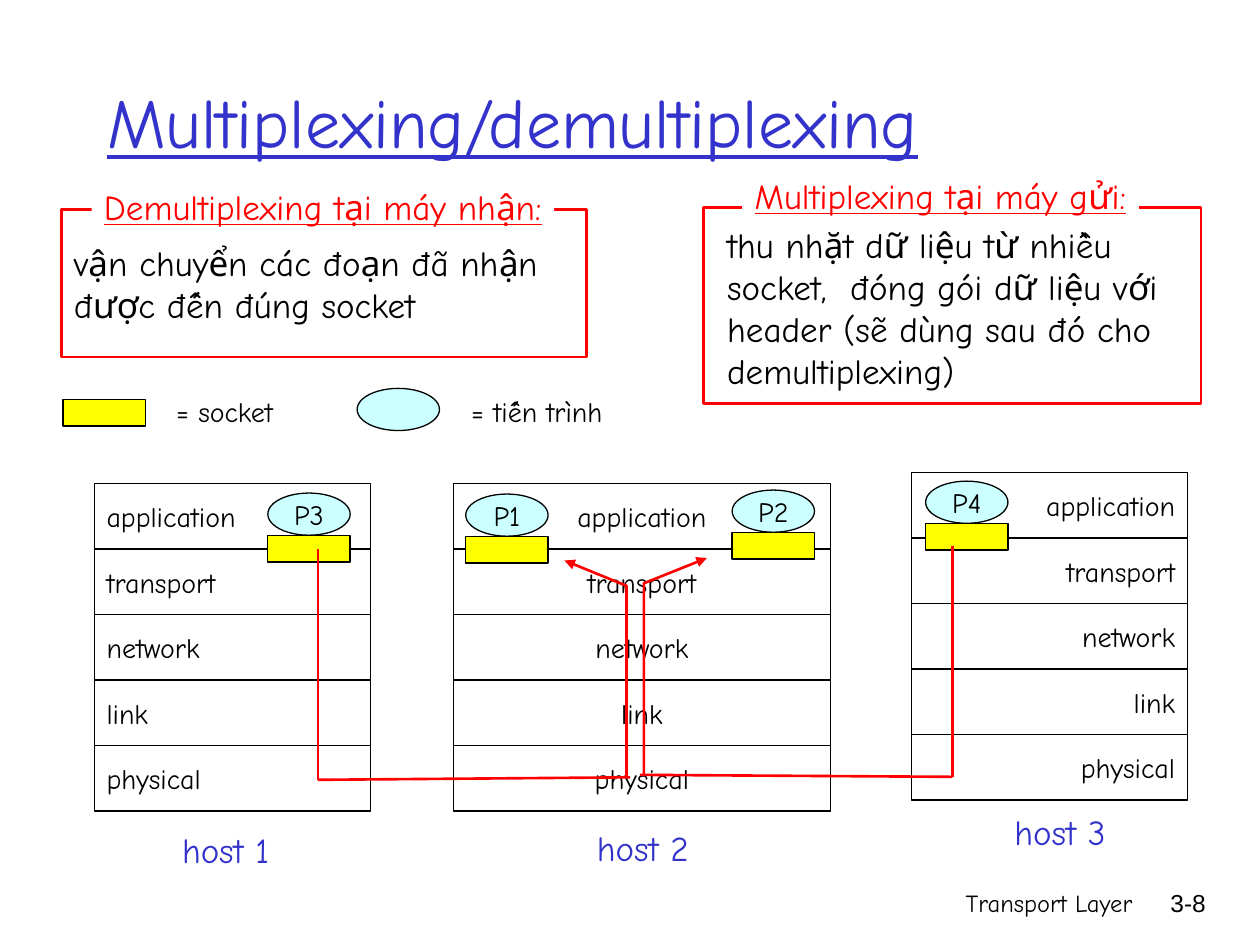
from dataclasses import dataclass

from lxml.etree import SubElement
from pptx import Presentation
from pptx.dml.color import RGBColor
from pptx.enum.shapes import MSO_CONNECTOR, MSO_SHAPE
from pptx.enum.text import MSO_ANCHOR, PP_ALIGN
from pptx.oxml.ns import qn
from pptx.util import Cm, Pt

LEFT, CENTER, RIGHT = PP_ALIGN.LEFT, PP_ALIGN.CENTER, PP_ALIGN.RIGHT


@dataclass(frozen=True)
class Theme:
    font: str = "Comic Neue"
    number_font: str = "Arial"
    black: str = "000000"
    white: str = "FFFFFF"
    blue: str = "3333CC"
    red: str = "FF0000"
    yellow: str = "FFFF00"
    cyan: str = "CCFFFF"
    title: int = 40
    body: int = 20
    label: int = 16
    footer: int = 14
    thin: float = 0.75
    thick: float = 1.5


THEME = Theme()

# All positions are in centimetres: left, top, width, height.
LAYERS = ["application", "transport", "network", "link", "physical"]
LAYER_HEIGHT = 1.32
HOSTS = [  # left, top, width, layer alignment, name, name area
    (1.9, 9.75, 5.57, LEFT, "host 1", (3.42, 16.58, 2.26, 1.12)),
    (18.37, 9.53, 5.57, RIGHT, "host 3", (20.2, 16.21, 2.34, 1.12)),
    (9.14, 9.75, 7.6, CENTER, "host 2", (11.78, 16.54, 2.36, 1.12)),
]
PROCESS_WIDTH, PROCESS_HEIGHT, SOCKET_HEIGHT = 1.66, 0.85, 0.54
PROCESSES = [("P1", 9.39, 9.96), ("P2", 14.76, 9.88),
             ("P3", 5.4, 9.94), ("P4", 18.66, 9.7)]
ROUTES = [  # straight wires as point pairs, then the bent arrow
    ([((6.41, 11.07), (6.41, 15.72)), ((6.41, 15.72), (12.7, 15.67))],
     [(12.63, 15.67), (12.63, 11.81), (11.38, 11.3)]),
    ([((19.2, 11.0), (19.2, 15.66)), ((19.2, 15.66), (12.9, 15.62))],
     [(12.98, 15.6), (12.98, 11.76), (14.25, 11.25)]),
]
PANELS = [  # frame, heading area, heading, text area, text anchor, lines
    ((1.24, 4.23, 10.58, 2.97), (1.85, 3.6, 9.32, 1.12),
     "Demultiplexing tại máy nhận:",
     (1.24, 4.23, 10.58, 2.97), MSO_ANCHOR.MIDDLE,
     ["vận chuyển các đoạn đã nhận", "được đến đúng socket"]),
    ((14.18, 4.19, 10.03, 3.94), (14.96, 3.38, 8.0, 1.12),
     "Multiplexing tại máy gửi:",
     (14.41, 4.37, 9.7, 3.66), MSO_ANCHOR.TOP,
     ["thu nhặt dữ liệu từ nhiều", "socket,  đóng gói dữ liệu với",
      "header (sẽ dùng sau đó cho", "demultiplexing)"]),
]
LEGEND_SOCKET, LEGEND_PROCESS = (1.27, 8.05), (7.2, 7.83)
LEGEND_TEXTS = [("= socket", (3.3, 7.82, 2.8, 0.94)),
                ("= tiến trình", (9.25, 7.82, 3.6, 0.94))]


def color(value):
    return RGBColor.from_string(value)


def write(box, lines, size=THEME.label, ink=THEME.black, font=THEME.font,
          align=LEFT, anchor=MSO_ANCHOR.TOP, underline=False):
    """Fill the box; centred text gets narrow margins so it stays on one line."""
    frame = box.text_frame
    frame.word_wrap = align != CENTER
    frame.vertical_anchor = anchor
    frame.margin_left = frame.margin_right = Cm(0.05 if align == CENTER else 0.25)
    frame.margin_top = frame.margin_bottom = Cm(0.13)
    for index, line in enumerate(lines):
        para = frame.add_paragraph() if index else frame.paragraphs[0]
        para.alignment = align
        span = para.add_run()
        span.text = line
        span.font.name = font
        span.font.size = Pt(size)
        span.font.underline = underline
        span.font.color.rgb = color(ink)


def add_text(page, area, *lines, **style):
    box = page.shapes.add_textbox(*map(Cm, area))
    write(box, lines, **style)
    return box


def add_block(page, area, fill=None, line=THEME.black, weight=THEME.thin,
              kind=MSO_SHAPE.RECTANGLE):
    block = page.shapes.add_shape(kind, *map(Cm, area))
    block.shadow.inherit = False
    if fill:
        block.fill.solid()
        block.fill.fore_color.rgb = color(fill)
    else:
        block.fill.background()
    block.line.color.rgb = color(line)
    block.line.width = Pt(weight)
    return block


def add_socket(page, left, top):
    add_block(page, (left, top, PROCESS_WIDTH, SOCKET_HEIGHT), THEME.yellow)


def add_process(page, left, top):
    return add_block(page, (left, top, PROCESS_WIDTH, PROCESS_HEIGHT),
                     THEME.cyan, kind=MSO_SHAPE.OVAL)


def add_host(page, left, top, width, align, name, name_area):
    for row, layer in enumerate(LAYERS):
        area = (left, top + row * LAYER_HEIGHT, width, LAYER_HEIGHT)
        write(add_block(page, area, THEME.white), [layer],
              align=align, anchor=MSO_ANCHOR.MIDDLE)
    add_text(page, name_area, name, size=THEME.body, ink=THEME.blue, align=CENTER)


def add_route(page, wires, bend):
    for start, end in wires:
        wire = page.shapes.add_connector(MSO_CONNECTOR.STRAIGHT, *map(Cm, start + end))
        SubElement(style_route(wire), qn("a:effectLst"))
    points = [tuple(map(Cm, point)) for point in bend]
    builder = page.shapes.build_freeform(*points[0])
    builder.add_line_segments(points[1:], close=False)
    arrow = builder.convert_to_shape()
    arrow.fill.background()
    properties = style_route(arrow)
    SubElement(properties.find(qn("a:ln")), qn("a:tailEnd"), type="triangle")
    arrow.shadow.inherit = False


def style_route(shape):
    """Make the line thick and red; return the shape properties element."""
    shape.line.color.rgb = color(THEME.red)
    shape.line.width = Pt(THEME.thick)
    return shape._element.spPr


def add_panel(page, frame, heading_area, heading, text_area, anchor, lines):
    add_block(page, frame, line=THEME.red, weight=THEME.thick)
    add_text(page, text_area, *lines, size=THEME.body, anchor=anchor)
    box = add_text(page, heading_area, heading, size=THEME.body, ink=THEME.red,
                   align=CENTER, underline=True)
    box.fill.solid()
    box.fill.fore_color.rgb = color(THEME.white)


def main():
    deck = Presentation()
    deck.slide_width, deck.slide_height = Cm(25.4), Cm(19.05)
    page = deck.slides.add_slide(deck.slide_layouts[6])

    add_text(page, (1.91, 0.84, 21.59, 3.18), "Multiplexing/demultiplexing",
             size=THEME.title, ink=THEME.blue, anchor=MSO_ANCHOR.MIDDLE, underline=True)
    add_text(page, (15.03, 17.78, 8.05, 1.27), "Transport Layer",
             size=THEME.footer, align=RIGHT)
    add_text(page, (22.68, 17.78, 1.88, 1.27), "3-8",
             size=THEME.footer, font=THEME.number_font, align=RIGHT)

    for host in HOSTS:
        add_host(page, *host)
    for name, left, top in PROCESSES:
        add_socket(page, left, top + PROCESS_HEIGHT)
        write(add_process(page, left, top), [name],
              align=CENTER, anchor=MSO_ANCHOR.MIDDLE)
    for wires, bend in ROUTES:
        add_route(page, wires, bend)

    add_socket(page, *LEGEND_SOCKET)
    add_process(page, *LEGEND_PROCESS)
    for text, area in LEGEND_TEXTS:
        add_text(page, area, text)
    for panel in PANELS:
        add_panel(page, *panel)

    deck.save("out.pptx")


if __name__ == "__main__":
    main()
